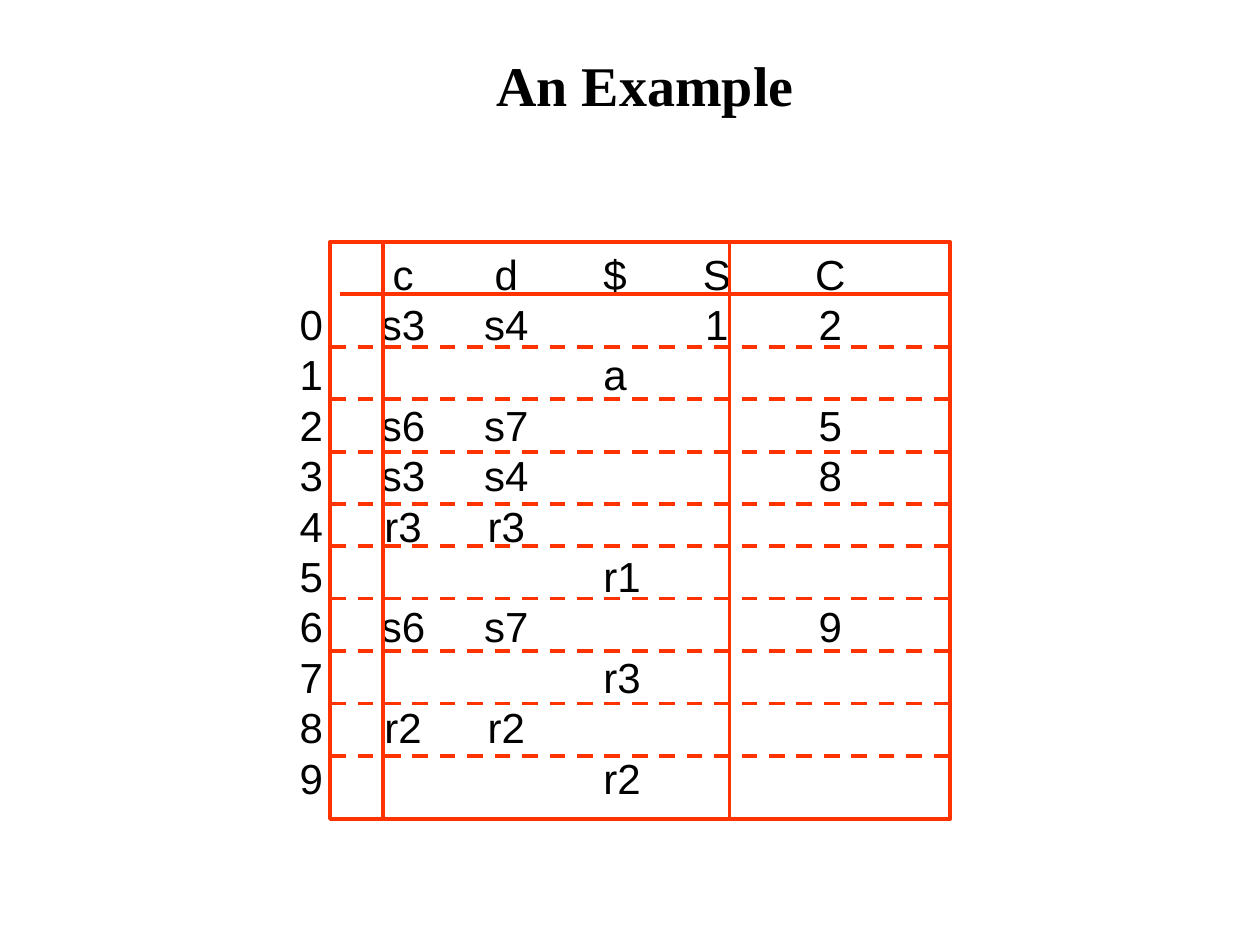
from lxml.etree import SubElement
from pptx import Presentation
from pptx.dml.color import RGBColor
from pptx.enum.dml import MSO_LINE
from pptx.enum.shapes import MSO_CONNECTOR, MSO_SHAPE
from pptx.enum.text import MSO_ANCHOR, PP_ALIGN
from pptx.oxml.ns import qn
from pptx.util import Inches, Pt

BLACK = RGBColor(0x00, 0x00, 0x00)
RED = RGBColor(0xFF, 0x33, 0x00)

TITLE_FONT = {"name": "Times New Roman", "size": Pt(32), "bold": True}
ENTRY_FONT = {"name": "Arial", "size": Pt(24), "bold": False}

# State, then the columns c, d, $, S and C
COLUMN_STOPS = [(0.18, "l"), (1.0, "ctr"), (1.82, "ctr"),
                (2.59, "l"), (3.49, "ctr"), (4.39, "ctr")]
PARSE_ROWS = [
    ["", "c", "d", "$", "S", "C"],
    ["0", "s3", "s4", "", "1", "2"],
    ["1", "", "", "a"],
    ["2", "s6", "s7", "", "", "5"],
    ["3", "s3", "s4", "", "", "8"],
    ["4", "r3", "r3"],
    ["5", "", "", "r1"],
    ["6", "s6", "s7", "", "", "9"],
    ["7", "", "", "r3"],
    ["8", "r2", "r2"],
    ["9", "", "", "r2"],
]


def format_font(font, values):
    for key, value in values.items():
        setattr(font, key, value)
    font.color.rgb = BLACK


def add_title(slide, left, top, width, height):
    title = slide.shapes.title
    box = {"left": left, "top": top, "width": width, "height": height}
    for key, value in box.items():
        setattr(title, key, Inches(value))
    title.text_frame.vertical_anchor = MSO_ANCHOR.MIDDLE
    heading = title.text_frame.paragraphs[0]
    heading.alignment = PP_ALIGN.CENTER
    run = heading.add_run()
    run.text = "An Example"
    format_font(run.font, TITLE_FONT)


def add_column_stops(paragraph):
    stops = SubElement(paragraph._p.get_or_add_pPr(), qn("a:tabLst"))
    for position, alignment in COLUMN_STOPS:
        SubElement(stops, qn("a:tab"), pos=str(Inches(position)), algn=alignment)


def add_entries(slide, left, top, width, height):
    """Write the parse table as tabbed lines, one per state."""
    entries = slide.shapes.add_textbox(*map(Inches, (left, top, width, height)))
    frame = entries.text_frame
    frame.word_wrap = True
    for index, row in enumerate(PARSE_ROWS):
        line = frame.add_paragraph() if index else frame.paragraphs[0]
        add_column_stops(line)
        line.line_spacing = Pt(28.8)
        run = line.add_run()
        run.text = "\t" + "\t".join(row)
        format_font(run.font, ENTRY_FONT)


def add_rule(slide, x1, y1, x2, y2, dash=None):
    rule = slide.shapes.add_connector(
        MSO_CONNECTOR.STRAIGHT, *map(Inches, (x1, y1, x2, y2)))
    rule.line.color.rgb = RED
    rule.line.width = Pt(2.25)
    if dash:
        rule.line.dash_style = dash
    SubElement(rule._element.spPr, qn("a:effectLst"))


def add_grid(slide, left, top, width, height):
    right, bottom = left + width, top + height
    frame = slide.shapes.add_shape(
        MSO_SHAPE.RECTANGLE, *map(Inches, (left, top, width, height)))
    frame.shadow.inherit = False
    frame.fill.background()
    frame.line.color.rgb = RED
    frame.line.width = Pt(2.25)

    row_height = 5 / 12
    add_rule(slide, left + 0.08, top + row_height, right, top + row_height)
    for offset in (0.42, 3.17):
        add_rule(slide, left + offset, top, left + offset, bottom)

    # The upper rules step down from the header, the lower ones up from the last row
    upper = [top + row_height * step for step in range(2, 6)]
    lower = [bottom - 0.5 - row_height * step for step in range(5)]
    for y in sorted(upper + lower):
        add_rule(slide, left, y, right, y, MSO_LINE.DASH)


def main():
    deck = Presentation()
    deck.slide_width, deck.slide_height = Inches(10), Inches(7.5)
    slide = deck.slides.add_slide(deck.slide_layouts[5])
    add_title(slide, 0.39, 0.17, 9.46, 1)
    add_entries(slide, 2.1, 1.92, 5.79, 4.5)
    add_grid(slide, 2.62, 1.92, 4.92, 4.58)
    deck.save("out.pptx")


if __name__ == "__main__":
    main()
